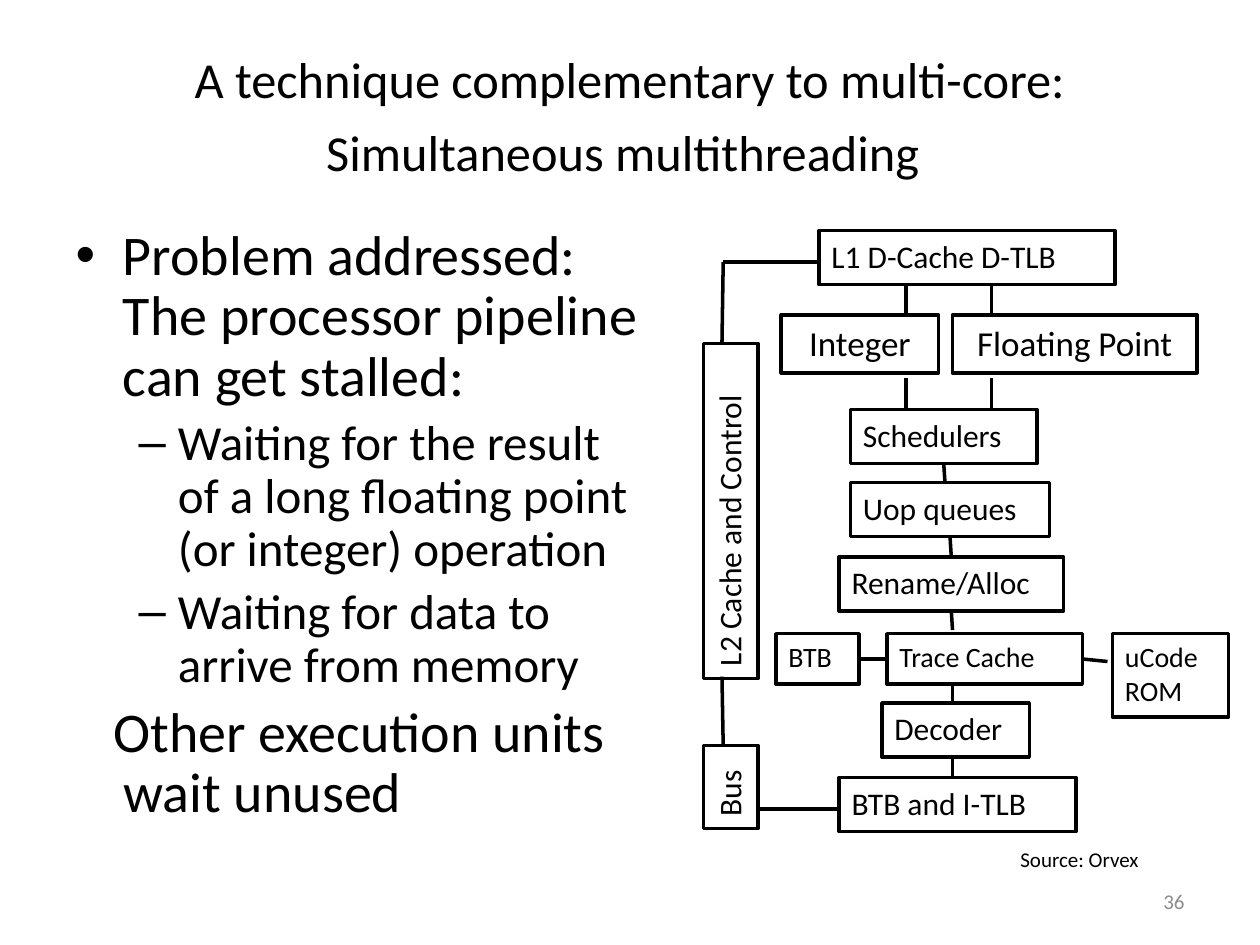
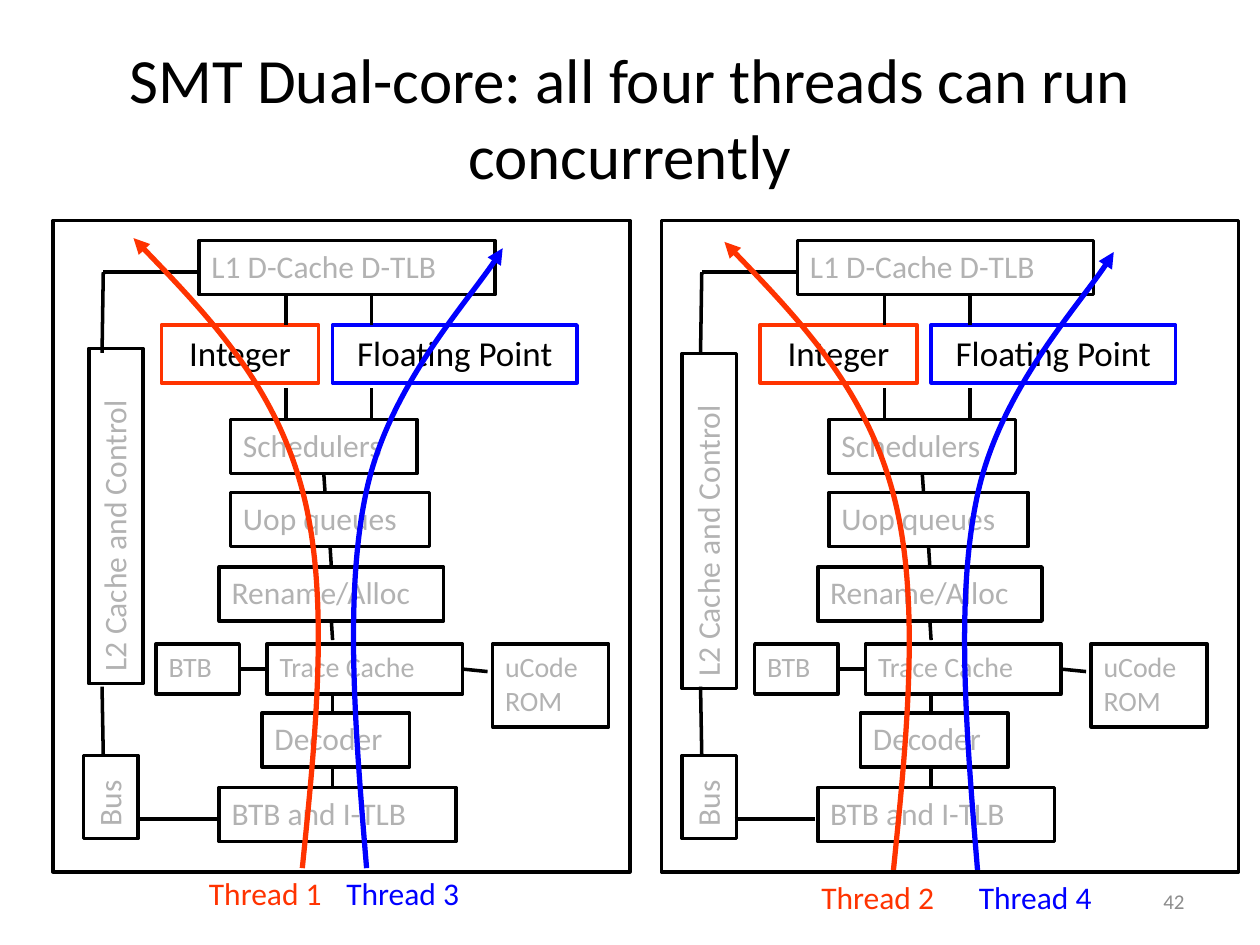
import dataclasses

import pptx
import pptx.dml.color
import pptx.enum.shapes
import pptx.enum.text
import pptx.oxml.ns
import pptx.util
from lxml import etree

Inches = pptx.util.Inches
Pt = pptx.util.Pt
ALIGN = pptx.enum.text.PP_ALIGN
ANCHOR = pptx.enum.text.MSO_ANCHOR
qn = pptx.oxml.ns.qn
TOP, LEFT, BOTTOM, RIGHT = range(4)


@dataclasses.dataclass(frozen=True)
class Theme:
    font: str = "Calibri"
    ink: str = "000000"
    muted: str = "B2B2B2"
    footer: str = "8C8C8C"
    integer_thread: str = "FF3300"
    float_thread: str = "0000FF"
    title: float = 36
    long_title: float = 28.8
    body: float = 32
    detail: float = 28
    unit: float = 20
    block: float = 18
    small_block: float = 16
    note: float = 12
    outline: float = 2
    thread_line: float = 3


THEME = Theme()
BLOCK_HEIGHTS = {THEME.unit: 0.46, THEME.block: 0.43, THEME.small_block: 0.4}

UNITS = [
    ("Integer", 6.2, 2.5, 1.25, THEME.integer_thread),
    ("Floating Point", 7.56, 2.5, 1.94, THEME.float_thread),
]
STAGES = [
    ("BTB and I-TLB", 6.66, 6.17, 1.88, THEME.block),
    ("Decoder", 7, 5.58, 1.17, THEME.block),
    ("Trace Cache", 7.04, 5.03, 1.55, THEME.small_block),
    ("Rename/Alloc", 6.66, 4.42, 1.78, THEME.block),
    ("Uop queues", 6.75, 3.83, 1.58, THEME.block),
    ("Schedulers", 6.75, 3.25, 1.48, THEME.block),
    ("L1 D-Cache D-TLB", 6.5, 1.83, 2.35, THEME.block),
    ("BTB", 6.16, 5.03, 0.66, THEME.small_block),
]
LINKS = [
    ((6, 6.42), (6.64, 6.42)),
    ((5.73, 5.37), (5.74, 5.92)),
    ((7.56, 6.17), (7.56, 6)),
    ((7.56, 5.58), (7.56, 5.42)),
    (("BTB", RIGHT), ("Trace Cache", LEFT)),
    (("Trace Cache", RIGHT), (8.79, 5.25)),
    ((7.56, 5), ("Rename/Alloc", BOTTOM)),
    (("Rename/Alloc", TOP), ("Uop queues", BOTTOM)),
    ((7.5, 3.83), ("Schedulers", BOTTOM)),
    ((5.74, 2.08), (6.5, 2.08)),
    ((5.74, 2.08), (5.73, 2.72)),
] + [((x, y), (x, y - 0.25)) for y in (3.25, 2.5) for x in (7.19, 7.87)]

INTEGER_CURVE = [(2.4, 6.89), (2.51, 5.81), (2.62, 4.72), (2.4, 3.89),
                 (2.18, 3.06), (1.62, 2.47), (1.06, 1.89)]
FLOAT_CURVE = [(2.91, 6.89), (2.82, 5.8), (2.73, 4.71), (2.91, 3.89),
               (3.09, 3.07), (3.81, 2.29), (3.99, 1.97)]


def rgb(value):
    return pptx.dml.color.RGBColor.from_string(value)


def write(paragraph, text, size, color=THEME.ink, align=None, spacing=None):
    for index, line in enumerate(text.split("\n")):
        if index:
            paragraph.add_line_break()
        run = paragraph.add_run()
        run.text = line
        run.font.name = THEME.font
        run.font.size = Pt(size)
        run.font.color.rgb = rgb(color)
    if align is not None:
        paragraph.alignment = align
    if spacing is not None:
        paragraph.line_spacing = spacing


class Deck:
    def __init__(self, theme):
        self.theme = theme
        self.presentation = pptx.Presentation()
        self.presentation.slide_width = Inches(10)
        self.presentation.slide_height = Inches(7.5)
        self.slide = None

    def start_slide(self, layout, number):
        self.slide = self.presentation.slides.add_slide(
            self.presentation.slide_layouts.get_by_name(layout))
        self.label(str(number), 7.17, 6.95, 2.33, 0.4, size=self.theme.note,
                   color=self.theme.footer, align=ALIGN.RIGHT, anchor=ANCHOR.MIDDLE)

    def place(self, shape, left, top, width, height):
        shape.left, shape.top = Inches(left), Inches(top)
        shape.width, shape.height = Inches(width), Inches(height)
        shape.text_frame.auto_size = pptx.enum.text.MSO_AUTO_SIZE.NONE
        return shape.text_frame

    def title(self, text, size):
        frame = self.place(self.slide.shapes.title, 0.5, 0.3, 9, 1.25)
        frame.vertical_anchor = ANCHOR.MIDDLE
        write(frame.paragraphs[0], text, size=size, align=ALIGN.CENTER)
        return frame.paragraphs[0]

    def bullets(self, items):
        frame = self.place(self.slide.placeholders[1], 0.5, 1.75, 9, 4.95)
        for index, (level, text) in enumerate(items):
            paragraph = frame.add_paragraph() if index else frame.paragraphs[0]
            if not index:
                paragraph.space_before = Pt(0)
            paragraph.level = level or 0
            write(paragraph, text, spacing=0.9,
                  size=self.theme.detail if level else self.theme.body)
            if level is None:
                properties = paragraph._p.get_or_add_pPr()
                properties.set("marL", str(Inches(0.38)))
                properties.set("indent", str(Inches(-0.08)))
                etree.SubElement(properties, qn("a:buNone"))

    def label(self, text, left, top, width, height, anchor=ANCHOR.TOP, **style):
        frame = self.slide.shapes.add_textbox(
            Inches(left), Inches(top), Inches(width), Inches(height)).text_frame
        frame.word_wrap = True
        frame.vertical_anchor = anchor
        write(frame.paragraphs[0], text, **style)

    def outline(self, shape, color, width):
        shape.shadow.inherit = False
        shape.fill.background()
        shape.line.color.rgb = rgb(color)
        shape.line.width = Pt(width)

    def box(self, left, top, width, height, text="", line=THEME.ink, rotation=0, **style):
        block = self.slide.shapes.add_shape(
            pptx.enum.shapes.MSO_SHAPE.RECTANGLE,
            Inches(left), Inches(top), Inches(width), Inches(height))
        self.outline(block, line, self.theme.outline)
        block.rotation = rotation
        if text:
            block.text_frame.word_wrap = True
            block.text_frame.vertical_anchor = ANCHOR.TOP
            write(block.text_frame.paragraphs[0], text, **style)
        return block

    def link(self, start, end, blocks, dx, dy):
        points = [(0, 0) if point[0] in blocks else (point[0] + dx, point[1] + dy)
                  for point in (start, end)]
        wire = self.slide.shapes.add_connector(
            pptx.enum.shapes.MSO_CONNECTOR.STRAIGHT,
            *(Inches(value) for point in points for value in point))
        for (name, side), join in ((start, wire.begin_connect), (end, wire.end_connect)):
            if name in blocks:
                join(blocks[name], side)
        wire.line.color.rgb = rgb(self.theme.ink)
        wire.line.width = Pt(self.theme.outline)
        etree.SubElement(wire._element.spPr, qn("a:effectLst"))

    def thread(self, curve, color, dx=0, dy=0):
        points = [(Inches(x + dx), Inches(y + dy)) for x, y in curve]
        builder = self.slide.shapes.build_freeform(*points[0])
        builder.add_line_segments(points[1:], close=False)
        arrow = builder.convert_to_shape()
        self.outline(arrow, color, self.theme.thread_line)
        etree.SubElement(arrow.line._get_or_add_ln(), qn("a:tailEnd"), type="triangle")
        outline = arrow._element.spPr.find(".//" + qn("a:path"))
        segments = outline.findall(qn("a:lnTo"))
        for first in range(0, len(segments), 3):
            bend = etree.SubElement(outline, qn("a:cubicBezTo"))
            for segment in segments[first:first + 3]:
                bend.append(segment[0])
                outline.remove(segment)

    def core(self, dx=0, dy=0, color=THEME.ink, threaded=False, cache_shift=(0, 0)):
        blocks = {}
        for name, left, top, width, size in STAGES:
            blocks[name] = self.box(left + dx, top + dy, width, BLOCK_HEIGHTS[size], name,
                                    size=size, color=color, align=ALIGN.LEFT)
        for name, left, top, width, line in UNITS:
            self.box(left + dx, top + dy, width, BLOCK_HEIGHTS[self.theme.unit], name,
                     line=line if threaded else self.theme.ink,
                     size=self.theme.unit, align=ALIGN.CENTER)
        self.box(8.83 + dx, 5.03 + dy, 0.92, 0.66, "uCode\nROM",
                 size=self.theme.small_block, color=color, align=ALIGN.LEFT)
        cache_x, cache_y = cache_shift
        for name, left, top, width in (
                ("L2 Cache and Control", 4.47 + cache_x, 3.84 + cache_y, 2.66),
                ("Bus", 5.47, 6.03, 0.66)):
            self.box(left + dx, top + dy, width, BLOCK_HEIGHTS[self.theme.block], name,
                     rotation=270, size=self.theme.block, color=color, align=ALIGN.LEFT)
        for start, end in LINKS:
            self.link(start, end, blocks, dx, dy)


def build_technique(deck):
    deck.start_slide("Title and Content", 36)
    heading = deck.title("A technique complementary to multi-core:\n"
                         "Simultaneous multithreading", deck.theme.long_title)
    write(heading, " ", size=deck.theme.title)
    deck.bullets([
        (0, "Problem addressed:\nThe processor pipeline\ncan get stalled:"),
        (1, "Waiting for the result\nof a long floating point\n(or integer) operation"),
        (1, "Waiting for data to\narrive from memory"),
        (None, "Other execution units\nwait unused"),
    ])
    deck.core()
    deck.label("Source: Orvex", 8, 6.67, 1.14, 0.3, size=deck.theme.note)


def build_dual_core(deck):
    theme = deck.theme
    deck.start_slide("Title Only", 42)
    deck.title("SMT Dual-core: all four threads can run concurrently", theme.title)
    deck.core(-4.92, 0.08, theme.muted, threaded=True, cache_shift=(0.04, -0.04))
    deck.core(-0.17, 0.08, theme.muted, threaded=True)
    deck.thread(INTEGER_CURVE, theme.integer_thread)
    deck.thread(FLOAT_CURVE, theme.float_thread)
    deck.thread(FLOAT_CURVE, theme.float_thread, 4.85, 0.03)
    deck.thread(INTEGER_CURVE, theme.integer_thread, 4.69, 0.03)
    for name, left, top, color in (
            ("Thread 1", 1.56, 6.89, theme.integer_thread),
            ("Thread 3", 2.65, 6.89, theme.float_thread),
            ("Thread 2", 6.42, 6.92, theme.integer_thread),
            ("Thread 4", 7.67, 6.92, theme.float_thread)):
        deck.label(name, left, top, 1.2, 0.4, size=theme.block, color=color)
    for left in (0.42, 5.25):
        deck.box(left, 1.75, 4.58, 5.17)


def main():
    deck = Deck(THEME)
    build_technique(deck)
    build_dual_core(deck)
    deck.presentation.save("out.pptx")


if __name__ == "__main__":
    main()
